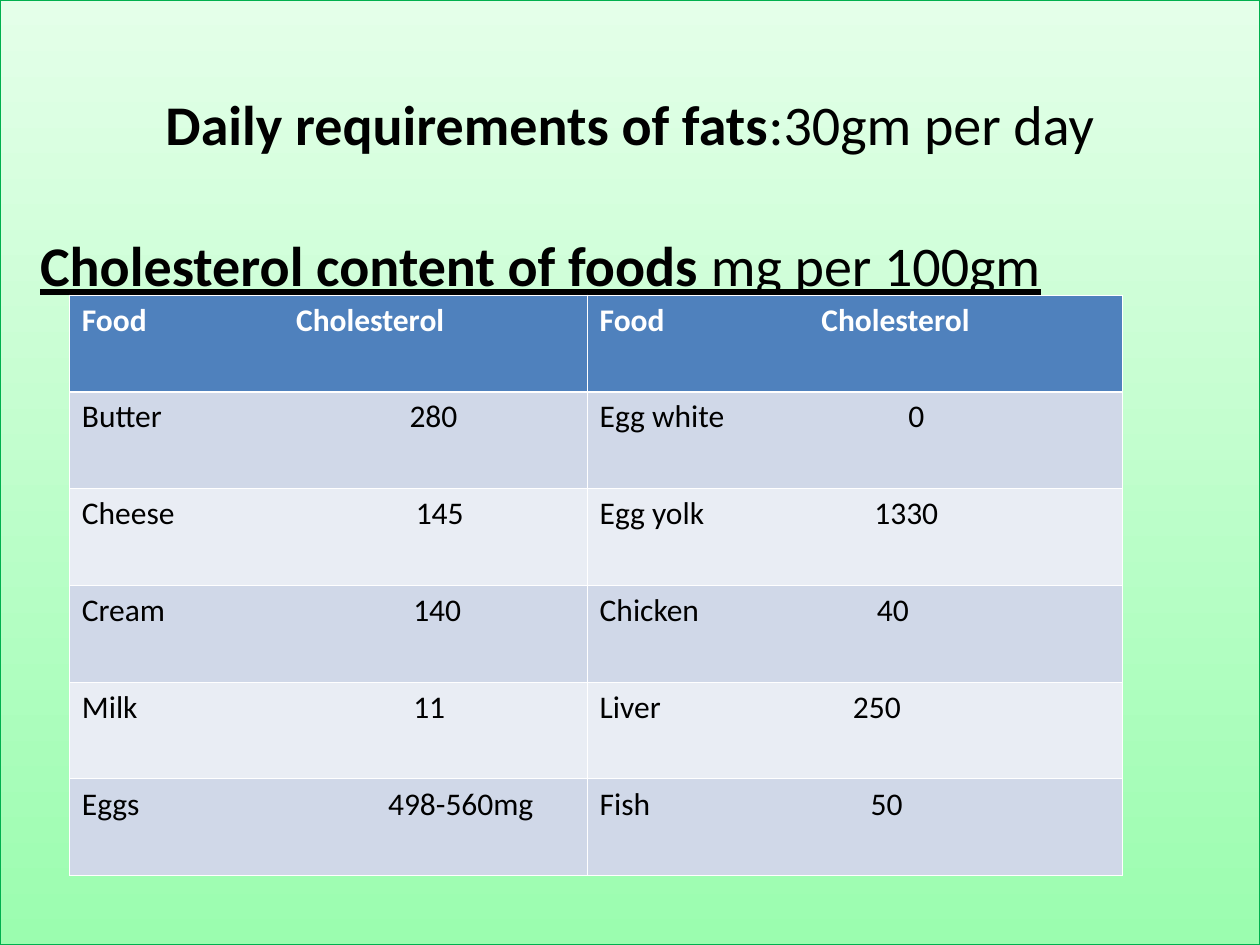
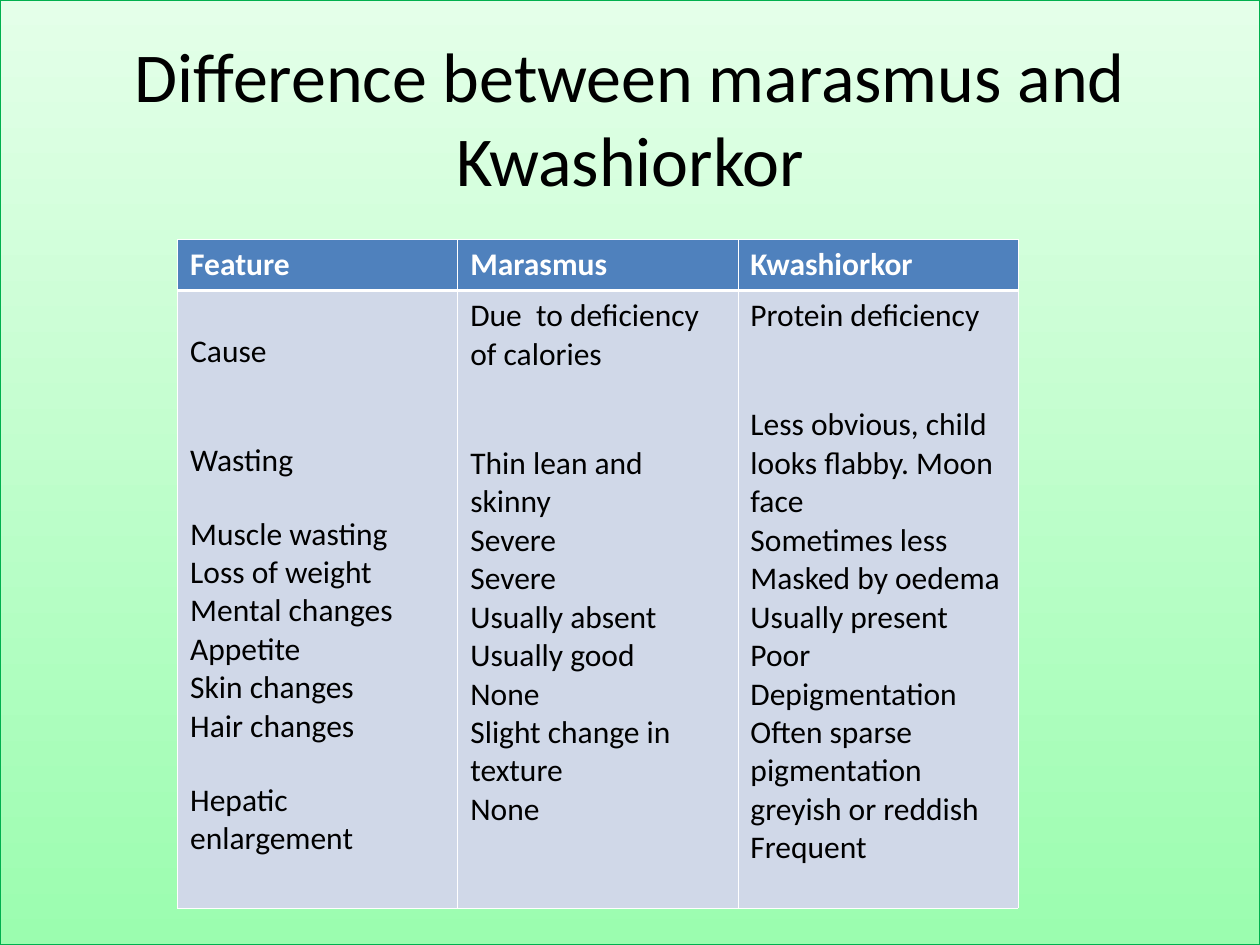
import pptx
import pptx.util
import pptx.dml.color
import pptx.enum.shapes
import pptx.enum.text
import pptx.oxml
import pptx.oxml.ns

Inches, Pt = pptx.util.Inches, pptx.util.Pt

HUES = {
    "ink": "000000",
    "white": "FFFFFF",
    "head": "4F81BD",
    "dark": "D0D8E8",
    "light": "E9EDF4",
    "low": "9BFDAF",
    "top": "E4FFE9",
    "edge": "00B04E",
}
FACE = "Calibri"
WIDE, HIGH = 10, 7.5
GAP = 20.2
THIN, THICK = 0.45, 1.47

FATS = {
    "title": [("Daily requirements of fats", {"bold": True}), (":30gm per day", {})],
    "size": 32,
    "box": (0.5, 0.31, 9, 1.33),
    "note": [
        ("Cholesterol content of foods ", {"bold": True, "underline": True}),
        ("mg per 100gm", {"underline": True}),
    ],
    "spot": (0.22, 1.78, 9, 0.56),
    "at": (0.55, 2.34),
    "cols": [4.11, 4.25],
    "rows": [4.61 / 6] * 6,
}
FOODS = [
    [("Food", "Cholesterol", 1.7), ("Food", "Cholesterol", 1.76)],
    [("Butter", "280", 2.6), ("Egg white", "0", 2.45)],
    [("Cheese", "145", 2.65), ("Egg yolk", "1330", 2.18)],
    [("Cream", "140", 2.63), ("Chicken", "40", 2.2)],
    [("Milk", "11", 2.63), ("Liver", "250", 2.01)],
    [("Eggs", "498-560mg", 2.43), ("Fish", "50", 2.15)],
]

SIGNS = {
    "title": [("Difference between marasmus and Kwashiorkor", {})],
    "size": 40,
    "box": (0.5, 0.3, 9, 1.25),
    "at": (1.41, 1.9),
    "cols": [6.67 / 3] * 3,
    "rows": [0.4, 4.9],
}
HEADS = ["Feature", "Marasmus", "Kwashiorkor"]
LISTS = [
    ["Cause", "Wasting", "Muscle wasting", "Loss of weight", "Mental changes",
     "Appetite", "Skin changes", "Hair changes", "Hepatic enlargement"],
    ["Due  to deficiency", "of calories", "Thin lean and skinny", "Severe", "Severe",
     "Usually absent", "Usually good", "None", "Slight change in texture", "None"],
    ["Protein deficiency", "Less obvious, child looks flabby. Moon face",
     "Sometimes less", "Masked by oedema", "Usually present", "Poor",
     "Depigmentation", "Often sparse pigmentation greyish or reddish", "Frequent"],
]
SKIPS = {
    "Wasting": 2,
    "Muscle wasting": 1,
    "Hepatic enlargement": 1,
    "Thin lean and skinny": 2,
    "Less obvious, child looks flabby. Moon face": 2,
}


def hue(name):
    return pptx.dml.color.RGBColor.from_string(HUES[name])


def put(para, text, size, ink="ink", **form):
    run = para.add_run()
    run.text = text
    form = {"name": FACE, "size": Pt(size), "bold": False, **form}
    for key, val in form.items():
        setattr(run.font, key, val)
    run.font.color.rgb = hue(ink)


def back(slide):
    rect = slide.shapes.add_shape(
        pptx.enum.shapes.MSO_SHAPE.RECTANGLE, 0, 0, Inches(WIDE), Inches(HIGH))
    rect.shadow.inherit = False
    rect.fill.gradient()
    rect.fill.gradient_angle = 90
    for stop, name, pos in zip(rect.fill.gradient_stops, ("low", "top"), (0, 1)):
        stop.color.rgb = hue(name)
        stop.position = pos
    rect.line.color.rgb = hue("edge")
    rect.line.width = Pt(0.75)
    slide.shapes.element.insert(2, rect.element)


def head(slide, data):
    back(slide)
    title = slide.shapes.title
    title.left, title.top, title.width, title.height = map(Inches, data["box"])
    frame = title.text_frame
    form = {
        "word_wrap": True,
        "auto_size": pptx.enum.text.MSO_AUTO_SIZE.NONE,
        "vertical_anchor": pptx.enum.text.MSO_ANCHOR.MIDDLE,
    }
    for key, val in form.items():
        setattr(frame, key, val)
    para = frame.paragraphs[0]
    para.alignment = pptx.enum.text.PP_ALIGN.CENTER
    for text, style in data["title"]:
        put(para, text, data["size"], **style)


def note(slide, data):
    frame = slide.shapes.add_textbox(*map(Inches, data["spot"])).text_frame
    frame.word_wrap = True
    for text, style in data["note"]:
        put(frame.paragraphs[0], text, data["size"], **style)


def edge(cell, row):
    size = {
        "L": THIN,
        "R": THIN,
        "T": THICK if row == 1 else THIN,
        "B": THICK if row == 0 else THIN,
    }
    prop = cell._tc.get_or_add_tcPr()
    for spot, (side, wide) in enumerate(size.items()):
        prop.insert(spot, pptx.oxml.parse_xml(
            f'<a:ln{side} {pptx.oxml.ns.nsdecls("a")} w="{int(Pt(wide))}"><a:solidFill>'
            f'<a:srgbClr val="{HUES["white"]}"/></a:solidFill></a:ln{side}>'))


def grid(slide, data):
    cols, rows = data["cols"], data["rows"]
    size = (*data["at"], sum(cols), sum(rows))
    table = slide.shapes.add_table(len(rows), len(cols), *map(Inches, size)).table
    for col, wide in zip(table.columns, cols):
        col.width = Inches(wide)
    for num, (row, high) in enumerate(zip(table.rows, rows)):
        row.height = Inches(high)
        for cell in row.cells:
            cell.fill.solid()
            cell.fill.fore_color.rgb = hue("head" if num == 0 else ("light", "dark")[num % 2])
            edge(cell, num)
    return table


def look(row):
    return {"ink": "white", "bold": True} if row == 0 else {}


def tab(para, left):
    para._p.get_or_add_pPr().append(pptx.oxml.parse_xml(
        f'<a:tabLst {pptx.oxml.ns.nsdecls("a")}>'
        f'<a:tab pos="{int(Inches(left))}" algn="l"/></a:tabLst>'))


def foods(slide):
    head(slide, FATS)
    note(slide, FATS)
    table = grid(slide, FATS)
    for row, pairs in enumerate(FOODS):
        for col, (food, count, left) in enumerate(pairs):
            para = table.cell(row, col).text_frame.paragraphs[0]
            tab(para, left)
            put(para, f"{food}\t{count}", 18, **look(row))


def signs(slide):
    head(slide, SIGNS)
    table = grid(slide, SIGNS)
    for col, (name, lines) in enumerate(zip(HEADS, LISTS)):
        put(table.cell(0, col).text_frame.paragraphs[0], name, 18, **look(0))
        frame = table.cell(1, col).text_frame
        for num, line in enumerate(lines):
            para = frame.add_paragraph() if num else frame.paragraphs[0]
            if line in SKIPS:
                para.space_before = Pt(GAP * SKIPS[line])
            put(para, line, 18)
    table.cell(1, 0).margin_top = Inches(0.33)


def main():
    deck = pptx.Presentation()
    deck.slide_width, deck.slide_height = Inches(WIDE), Inches(HIGH)
    plain = deck.slide_layouts[5]
    for draw in (foods, signs):
        draw(deck.slides.add_slide(plain))
    deck.save("out.pptx")


if __name__ == "__main__":
    main()
